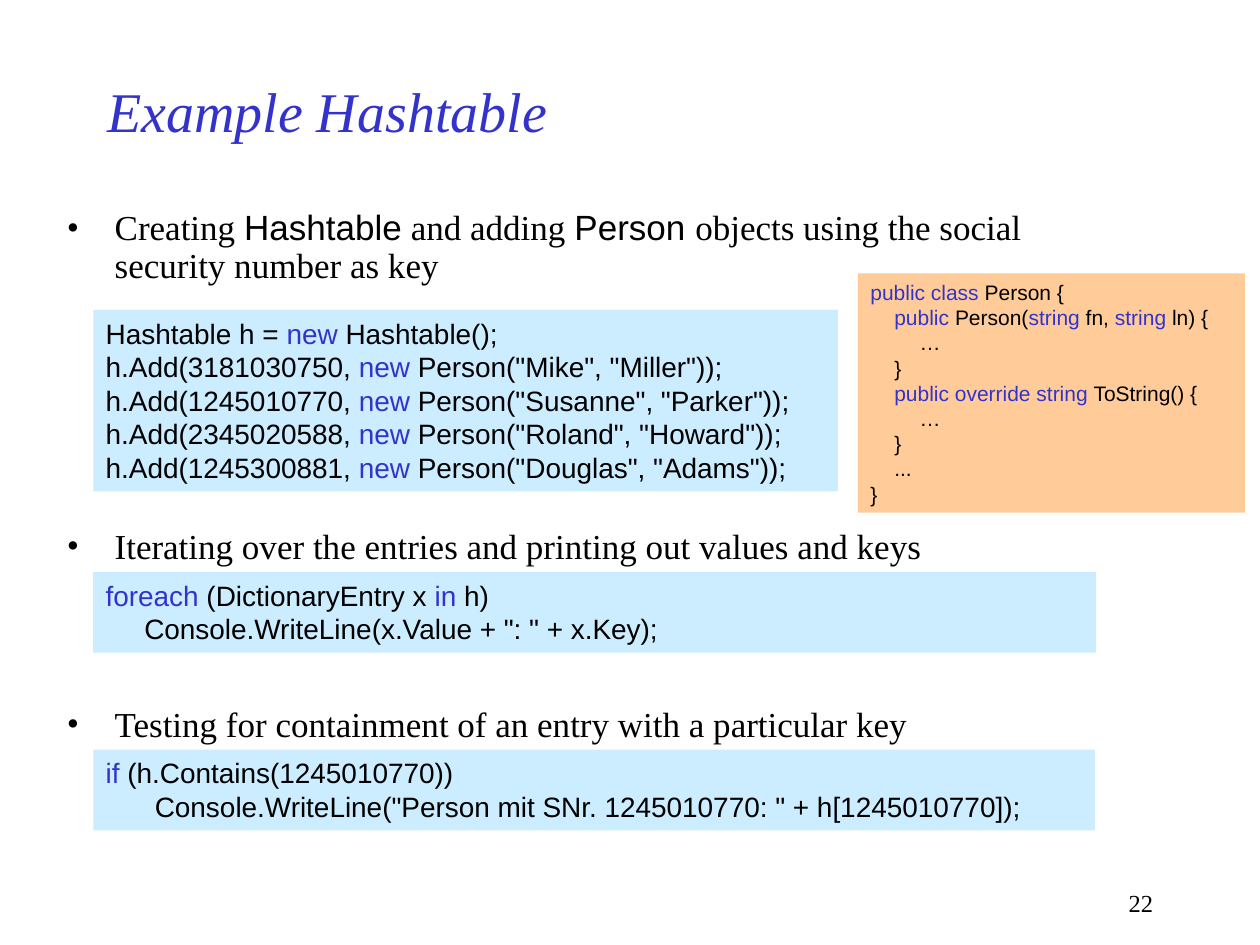
from dataclasses import dataclass

from lxml import etree
from pptx import Presentation
from pptx.dml.color import RGBColor
from pptx.enum.shapes import MSO_SHAPE
from pptx.enum.text import MSO_ANCHOR, MSO_AUTO_SIZE, PP_ALIGN
from pptx.oxml.ns import qn
from pptx.util import Inches, Pt

RECT = MSO_SHAPE.RECTANGLE
LEFT, RIGHT = PP_ALIGN.LEFT, PP_ALIGN.RIGHT
TOP, MIDDLE = MSO_ANCHOR.TOP, MSO_ANCHOR.MIDDLE
NO_FIT = MSO_AUTO_SIZE.NONE


@dataclass(frozen=True)
class Theme:
    serif: str = "Times New Roman"
    sans: str = "Arial"
    ink: str = "000000"
    accent: str = "3333CC"
    code_fill: str = "CCECFF"
    class_fill: str = "FFCC99"
    title: int = 32
    body: int = 20
    code: int = 16
    number: int = 14
    small_code: int = 12


THEME = Theme()
WIDTH, HEIGHT = 10, 7.5
COLS, ROWS = 100, 75
CODE_LEFT = 7.4  # shared left column of the blue code boxes

# Backticks enclose keywords in code and class names in the bullets.
BULLETS = [  # text, space before in points
    ("Creating `Hashtable` and adding `Person `objects using the social "
     "security number as key", 0),
    ("Iterating over the entries and printing out values and keys", 139),
    ("Testing for containment of an entry with a particular key", 80),
]
PEOPLE = [
    ("3181030750", "Mike", "Miller"),
    ("1245010770", "Susanne", "Parker"),
    ("2345020588", "Roland", "Howard"),
    ("1245300881", "Douglas", "Adams"),
]
CREATE_CODE = ["Hashtable h = `new` Hashtable();"] + [
    f'h.Add({key}, `new` Person("{first}", "{last}"));'
    for key, first, last in PEOPLE
]
ITERATE_CODE = [
    "`foreach` (DictionaryEntry x `in` h)",
    '     Console.WriteLine(x.Value + ": " + x.Key);',
]
TEST_CODE = [
    "`if` (h.Contains(1245010770))",
    '\tConsole.WriteLine("Person mit SNr. 1245010770: " + h[1245010770]);',
]
CLASS_CODE = [
    "`public class` Person {",
    "\t`public` Person(`string` fn, `string` ln) {",
    "\t\t…",
    "\t}",
    "\t`public override string` ToString() {",
    "\t\t…",
    "\t}",
    "\t...",
    "}",
]


def grid(col, row, cols, rows):
    """Turn grid cells into left, top, width and height."""
    return (Inches(col * WIDTH / COLS), Inches(row * HEIGHT / ROWS),
            Inches(cols * WIDTH / COLS), Inches(rows * HEIGHT / ROWS))


def place(sp, cells):
    sp.left, sp.top, sp.width, sp.height = grid(*cells)


def setup_frame(sp, anchor=TOP):
    tf = sp.text_frame
    tf.word_wrap = True
    tf.auto_size = NO_FIT
    tf.vertical_anchor = anchor
    return tf


def add_run(p, text, font, size, color, italic=False):
    r = p.add_run()
    r.text = text
    r.font.name = font
    r.font.size = Pt(size)
    r.font.italic = italic
    r.font.color.rgb = RGBColor.from_string(color)


def add_marked_runs(p, text, size, plain, marked):
    """Alternate two (font, colour) styles at each backtick."""
    for i, part in enumerate(text.split("`")):
        if part:
            font, color = marked if i % 2 else plain
            add_run(p, part, font, size, color)


def paragraphs(tf, items):
    for i, item in enumerate(items):
        yield (tf.paragraphs[0] if i == 0 else tf.add_paragraph()), item


def set_bullet(p, indent):
    pPr = p._p.get_or_add_pPr()
    pPr.set("marL", str(Inches(indent)))
    pPr.set("indent", str(-Inches(indent)))
    color = etree.SubElement(pPr, qn("a:buClr"))
    etree.SubElement(color, qn("a:srgbClr"), val=THEME.ink)
    etree.SubElement(pPr, qn("a:buFont"), typeface=THEME.serif)
    etree.SubElement(pPr, qn("a:buChar"), char="•")


def set_tabs(p, stops):
    tabs = etree.SubElement(p._p.get_or_add_pPr(), qn("a:tabLst"))
    for stop in stops:
        etree.SubElement(tabs, qn("a:tab"), pos=str(Inches(stop)), algn="l")


def fill_title(s, text, cells):
    sp = s.shapes.title
    place(sp, cells)
    p = setup_frame(sp, MIDDLE).paragraphs[0]
    p.alignment = LEFT
    add_run(p, text, THEME.serif, THEME.title, THEME.accent, italic=True)


def fill_bullets(s, bullets, cells):
    sp = s.placeholders[1]
    place(sp, cells)
    for p, (text, before) in paragraphs(setup_frame(sp), bullets):
        set_bullet(p, 0.38)
        p.line_spacing = 0.9
        p.space_before = Pt(before)
        add_marked_runs(p, text, THEME.body, (THEME.serif, THEME.ink),
                        (THEME.sans, THEME.ink))


def add_code(s, lines, cells, fill, size, stops):
    sp = s.shapes.add_shape(RECT, *grid(*cells))
    sp.shadow.inherit = False
    sp.fill.solid()
    sp.fill.fore_color.rgb = RGBColor.from_string(fill)
    sp.line.fill.background()
    for p, line in paragraphs(setup_frame(sp), lines):
        set_tabs(p, stops)
        p.alignment = LEFT
        add_marked_runs(p, line, size, (THEME.sans, THEME.ink),
                        (THEME.sans, THEME.accent))


def add_number(s, text, cells):
    p = setup_frame(s.shapes.add_textbox(*grid(*cells))).paragraphs[0]
    p.alignment = RIGHT
    add_run(p, text, THEME.serif, THEME.number, THEME.ink)


def main():
    prs = Presentation()
    prs.slide_width, prs.slide_height = Inches(WIDTH), Inches(HEIGHT)
    s = prs.slides.add_slide(prs.slide_layouts[1])

    # Page number, title and bullets
    add_number(s, "22", (71.7, 70, 20.8, 3.3))
    fill_title(s, "Example Hashtable", (7.5, 5, 75, 7.5))
    fill_bullets(s, BULLETS, (4.3, 16.2, 85, 44.9))

    # One code sample below each bullet
    for lines, row, cols, rows in (
        (CREATE_CODE, 24.6, 59.1, 14.4),
        (ITERATE_CODE, 45.4, 79.6, 6.4),
        (TEST_CODE, 59.5, 79.5, 6.4),
    ):
        add_code(s, lines, (CODE_LEFT, row, cols, rows),
                 THEME.code_fill, THEME.code, [0.39])

    # Outline of the Person class
    add_code(s, CLASS_CODE, (68.1, 21.7, 30.7, 19),
             THEME.class_fill, THEME.small_code, [0.19, 0.39])

    prs.save("out.pptx")


if __name__ == "__main__":
    main()
